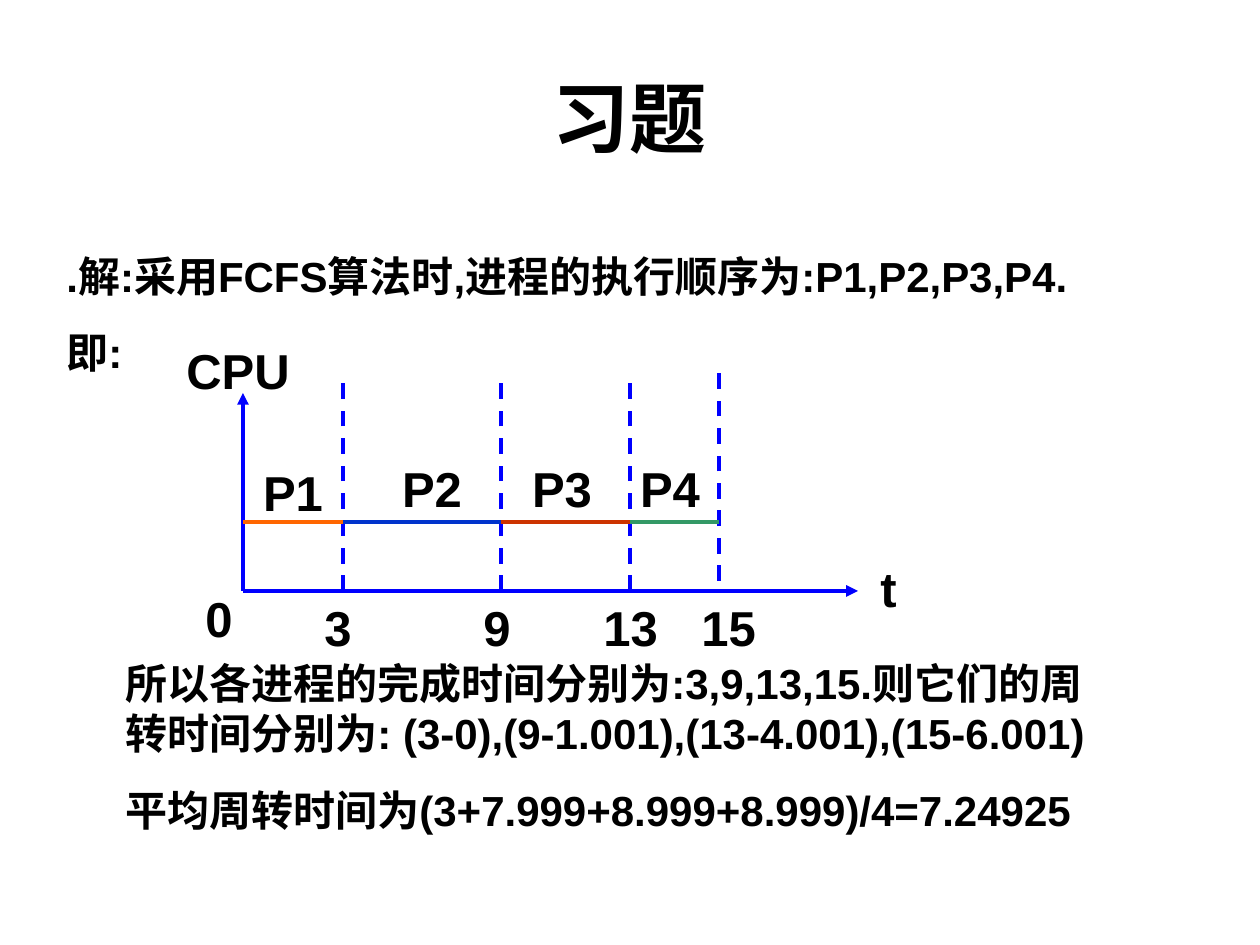
import pptx
import pptx.dml.color
import pptx.enum.dml
import pptx.enum.shapes
import pptx.enum.text
import pptx.oxml.ns
import pptx.util
from lxml import etree

EMU_PER_PX = 914400 / 126
COLORS = {
    "text": "000000",
    "axis": "0000FF",
    "P1": "FF6600",
    "P2": "0033CC",
    "P3": "CC3300",
    "P4": "339966",
}
ORIGIN_X, ORIGIN_Y = 243, 591
BAR_Y = 522
LABEL_W, LABEL_H = 100, 72

# process, finish time, finish x, process label (x, y), time label x, upward shift of marker
PROCESSES = [
    ("P1", "3", 343, (243, 456), 312, 0),
    ("P2", "9", 501, (382, 452), 471, 0),
    ("P3", "13", 630, (512, 452), 591, 0),
    ("P4", "15", 719, (620, 452), 689, 10),
]


def px(n):
    return pptx.util.Emu(round(n * EMU_PER_PX))


def rgb(name):
    return pptx.dml.color.RGBColor.from_string(COLORS[name])


def add_text(s, text, x, y, w=LABEL_W, h=LABEL_H, size=28, center=False,
             middle=False, gap=0):
    """Add a bold text box; each line of text is a paragraph."""
    sp = s.shapes.add_textbox(px(x), px(y), px(w), px(h))
    tf = sp.text_frame
    tf.word_wrap = True
    if middle:
        tf.vertical_anchor = pptx.enum.text.MSO_ANCHOR.MIDDLE
    for i, line in enumerate(text.split("\n")):
        p = tf.add_paragraph() if i else tf.paragraphs[0]
        if i:
            p.space_before = pptx.util.Pt(gap)
        if center:
            p.alignment = pptx.enum.text.PP_ALIGN.CENTER
        r = p.add_run()
        r.text = line
        r.font.name = "Arial"
        r.font.size = pptx.util.Pt(size)
        r.font.bold = True
        r.font.color.rgb = rgb("text")
    return sp


def add_line(s, x1, y1, x2, y2, color="axis", dashed=False, arrow=False):
    sp = s.shapes.add_connector(pptx.enum.shapes.MSO_CONNECTOR.STRAIGHT,
                                px(x1), px(y1), px(x2), px(y2))
    sp.line.color.rgb = rgb(color)
    sp.line.width = pptx.util.Pt(2.25)
    if dashed:
        sp.line.dash_style = pptx.enum.dml.MSO_LINE.DASH
    if arrow:
        tail = etree.SubElement(sp.line._ln, pptx.oxml.ns.qn("a:tailEnd"))
        tail.set("type", "triangle")
    etree.SubElement(sp._element.spPr, pptx.oxml.ns.qn("a:effectLst"))
    return sp


def add_axes(s):
    add_line(s, ORIGIN_X, ORIGIN_Y, ORIGIN_X, 393, arrow=True)
    add_line(s, ORIGIN_X, ORIGIN_Y, 858, ORIGIN_Y, arrow=True)
    add_text(s, "CPU", 174, 334, w=188)
    add_text(s, "t", 868, 552, w=59)
    add_text(s, "0", 193, 582)


def add_schedule(s):
    # Finish-time markers
    for _, time, end, _, time_x, shift in PROCESSES:
        add_text(s, time, time_x, ORIGIN_Y)
        add_line(s, end, ORIGIN_Y - shift, end, 383 - shift, dashed=True)
    # Execution intervals
    start = ORIGIN_X
    for name, _, end, (x, y), _, _ in PROCESSES:
        add_line(s, start, BAR_Y, end, BAR_Y, color=name)
        add_text(s, name, x, y, center=True)
        start = end


def main():
    prs = pptx.Presentation()
    prs.slide_width, prs.slide_height = px(1260), px(945)
    s = prs.slides.add_slide(prs.slide_layouts[6])

    # Title and introduction
    add_text(s, "习题", 63, 38, w=1134, h=158, size=44, center=True, middle=True)
    add_text(s, ".解:采用FCFS算法时,进程的执行顺序为:P1,P2,P3,P4.\n即:",
             54, 244, w=1121, h=140, size=24, gap=15)

    # Timing diagram
    add_axes(s)
    add_schedule(s)

    # Conclusion
    add_text(s, "所以各进程的完成时间分别为:3,9,13,15.则它们的周转时间分别为: "
                "(3-0),(9-1.001),(13-4.001),(15-6.001)\n"
                "平均周转时间为(3+7.999+8.999+8.999)/4=7.24925",
             113, 651, w=1012, h=190, size=24, gap=15)

    prs.save("out.pptx")


if __name__ == "__main__":
    main()
